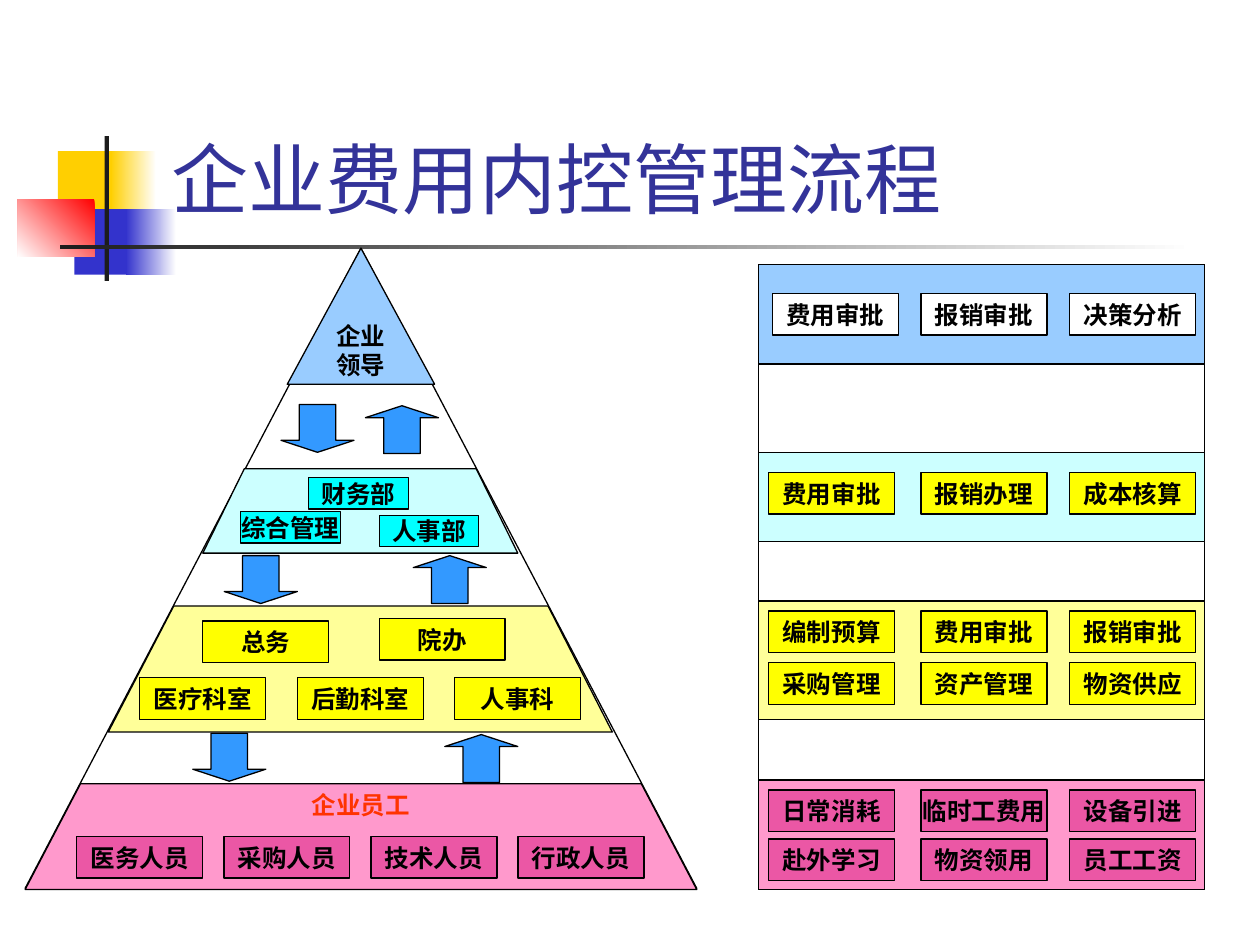
"""Builds the slide on expense control: a staff pyramid beside a panel of duties."""
from typing import NamedTuple

from pptx import Presentation
from pptx.dml.color import RGBColor
from pptx.enum.shapes import MSO_SHAPE
from pptx.enum.text import MSO_ANCHOR, PP_ALIGN
from pptx.util import Inches, Pt

RECT = MSO_SHAPE.RECTANGLE
TRIANGLE = MSO_SHAPE.FLOWCHART_EXTRACT
DOWN, UP = MSO_SHAPE.DOWN_ARROW, MSO_SHAPE.UP_ARROW
TOP, MIDDLE, BOTTOM = MSO_ANCHOR.TOP, MSO_ANCHOR.MIDDLE, MSO_ANCHOR.BOTTOM
LEFT, CENTER = PP_ALIGN.LEFT, PP_ALIGN.CENTER

SLIDE_W, SLIDE_H = Inches(10), Inches(7.5)
COLS, ROWS = 100, 75
BLACK, WHITE, DARK = "000000", "FFFFFF", "1C1C1C"
GOLD, BLUE, RED = "FFCF01", "3333CC", "FF0000"
SKY, AQUA, CREAM, ROSE = "99CCFF", "CCFFFF", "FFFF99", "FF99CC"
CYAN, YELLOW, PINK, ARROW = "00FFFF", "FFFF00", "EB57A5", "3399FF"


class Area(NamedTuple):
    """A place on the grid of columns and rows."""
    x: float
    y: float
    w: float
    h: float


class Ornament(NamedTuple):
    """A title ornament, plain or fading from one colour to another."""
    area: Area
    start: str
    end: str = ""
    angle: int = 180


class Tier(NamedTuple):
    """A pyramid band given by its four side positions."""
    top: float
    bottom: float
    left: float
    right: float
    top_left: float
    top_right: float
    color: str
    label: str = ""


class BoxRow(NamedTuple):
    """A row of equal labelled boxes."""
    xs: tuple
    y: float
    color: str
    labels: str
    w: float = 10
    h: float = 3.3


class Flow(NamedTuple):
    """A block arrow between two tiers."""
    x: float
    y: float
    kind: int


ORNAMENTS = [
    Ornament(Area(4.6, 12, 4.8, 5.2), GOLD),
    Ornament(Area(8.8, 12, 3.6, 5.2), WHITE, GOLD),
    Ornament(Area(5.9, 16.6, 4.6, 5.2), BLUE),
    Ornament(Area(10, 16.6, 4, 5.2), WHITE, BLUE),
    Ornament(Area(1.4, 15.8, 6.1, 4.6), RED, WHITE, 225),
    Ornament(Area(8.3, 10.8, 0.35, 11.5), DARK),
    Ornament(Area(4.8, 19.45, 90, 0.35), WHITE, DARK),
]
TIERS = [
    Tier(62.2, 70.6, 2, 55.3, 6.4, 50.9, ROSE, "企业员工"),
    Tier(48.1, 58.1, 8.6, 48.6, 13.8, 43.5, CREAM),
    Tier(37.2, 43.9, 16.1, 41.1, 19.4, 37.8, AQUA),
]
PANEL = Area(60.2, 21, 35.4, 49.6)
PANEL_BANDS = [(61.9, 8.7, ROSE), (47.7, 9.4, CREAM), (35.9, 7.1, AQUA), (21, 7.9, SKY)]
PANEL_XS = (61, 73.1, 84.9)
STAFF_XS = tuple(6.1 + 11.67 * i for i in range(4))
OFFICE_XS = tuple(11.1 + 12.5 * i for i in range(3))
BOX_ROWS = [
    BoxRow(STAFF_XS, 66.4, PINK, "医务人员 采购人员 技术人员 行政人员"),
    BoxRow(OFFICE_XS, 53.8, YELLOW, "医疗科室 后勤科室 人事科"),
    BoxRow((16.1,), 49.3, YELLOW, "总务"),
    BoxRow((30.1,), 49.1, YELLOW, "院办"),
    BoxRow((24.5,), 37.9, CYAN, "财务部", 7.9, 2.5),
    BoxRow((30.1,), 40.9, CYAN, "人事部", 7.9, 2.5),
    BoxRow((19.1,), 40.6, CYAN, "综合管理", 7.9, 2.5),
    BoxRow(PANEL_XS, 62.7, PINK, "日常消耗 临时工费用 设备引进"),
    BoxRow(PANEL_XS, 66.6, PINK, "赴外学习 物资领用 员工工资"),
    BoxRow(PANEL_XS, 48.5, YELLOW, "编制预算 费用审批 报销审批"),
    BoxRow(PANEL_XS, 52.6, YELLOW, "采购管理 资产管理 物资供应"),
    BoxRow(PANEL_XS, 37.5, YELLOW, "费用审批 报销办理 成本核算"),
    BoxRow((61.3, *PANEL_XS[1:]), 23.3, WHITE, "费用审批 报销审批 决策分析"),
]
FLOWS = [
    Flow(17.8, 44.1, DOWN), Flow(32.8, 44.1, UP),
    Flow(15.3, 58.2, DOWN), Flow(35.3, 58.3, UP),
    Flow(22.3, 32.1, DOWN), Flow(29, 32.2, UP),
]


def rgb(color: str) -> RGBColor:
    """Turn a hex string into a colour."""
    return RGBColor.from_string(color)


def col(n: float) -> int:
    """Give the length of n columns."""
    return round(SLIDE_W * n / COLS)


def row(n: float) -> int:
    """Give the length of n rows."""
    return round(SLIDE_H * n / ROWS)


def place(area: Area) -> tuple:
    """Give left, top, width and height of an area."""
    return col(area.x), row(area.y), col(area.w), row(area.h)


def paint(sp, color: str, outlined: bool = True) -> None:
    """Fill a shape and outline it thinly in black, or not at all."""
    sp.shadow.inherit = False
    sp.fill.solid()
    sp.fill.fore_color.rgb = rgb(color)
    if outlined:
        sp.line.color.rgb = rgb(BLACK)
        sp.line.width = Pt(0.75)
    else:
        sp.line.fill.background()


def write(sp, lines: list, color: str = BLACK, size: int = 14, font: str = "Arial",
          bold: bool = True, align=CENTER, anchor=MIDDLE, wrap: bool = False) -> None:
    """Write one paragraph per line into a shape."""
    tf = sp.text_frame
    tf.word_wrap = wrap
    tf.vertical_anchor = anchor
    for i, line in enumerate(lines):
        p = tf.add_paragraph() if i else tf.paragraphs[0]
        p.alignment = align
        r = p.add_run()
        r.text = line
        r.font.name, r.font.size, r.font.bold = font, Pt(size), bold
        r.font.color.rgb = rgb(color)


def add_block(s, kind: int, area: Area, color: str, outlined: bool = True):
    """Add a painted preset shape."""
    sp = s.shapes.add_shape(kind, *place(area))
    paint(sp, color, outlined)
    return sp


def add_ornament(s, o: Ornament) -> None:
    """Add a title ornament."""
    sp = add_block(s, RECT, o.area, o.start, False)
    if o.end:
        sp.fill.gradient()
        sp.fill.gradient_angle = o.angle
        for stop, color in zip(sp.fill.gradient_stops, (o.start, o.end)):
            stop.color.rgb = rgb(color)


def add_tier(s, t: Tier) -> None:
    """Add a trapezoid band of the pyramid."""
    builder = s.shapes.build_freeform(col(t.left), row(t.bottom))
    corners = [(t.top_left, t.top), (t.top_right, t.top), (t.right, t.bottom)]
    builder.add_line_segments([(col(x), row(y)) for x, y in corners], close=True)
    sp = builder.convert_to_shape()
    paint(sp, t.color)
    if t.label:
        write(sp, [t.label], "FF3300", anchor=TOP)


def add_box_row(s, b: BoxRow) -> None:
    """Add a row of labelled boxes."""
    for x, label in zip(b.xs, b.labels.split()):
        write(add_block(s, RECT, Area(x, b.y, b.w, b.h), b.color), [label])


def main() -> None:
    """Build and save the slide."""
    prs = Presentation()
    prs.slide_width, prs.slide_height = SLIDE_W, SLIDE_H
    s = prs.slides.add_slide(prs.slide_layouts[6])
    for o in ORNAMENTS:
        add_ornament(s, o)
    title = s.shapes.add_textbox(*place(Area(12.6, 2.3, 85.2, 16)))
    write(title, ["企业费用内控管理流程"], "333399", 44, "Karla", False, LEFT, BOTTOM, True)
    add_block(s, TRIANGLE, Area(2, 19.7, 53.3, 50.8), WHITE)
    for t in TIERS:
        add_tier(s, t)
    write(add_block(s, TRIANGLE, Area(22.8, 19.7, 11.7, 10.8), SKY), ["企业", "领导"])
    add_block(s, RECT, PANEL, WHITE)
    for y, h, color in PANEL_BANDS:
        add_block(s, RECT, Area(PANEL.x, y, PANEL.w, h), color)
    for b in BOX_ROWS:
        add_box_row(s, b)
    for f in FLOWS:
        sp = add_block(s, f.kind, Area(f.x, f.y, 5.8, 3.8), ARROW)
        sp.adjustments[0], sp.adjustments[1] = 0.5, 0.25
    prs.save("out.pptx")


if __name__ == "__main__":
    main()
